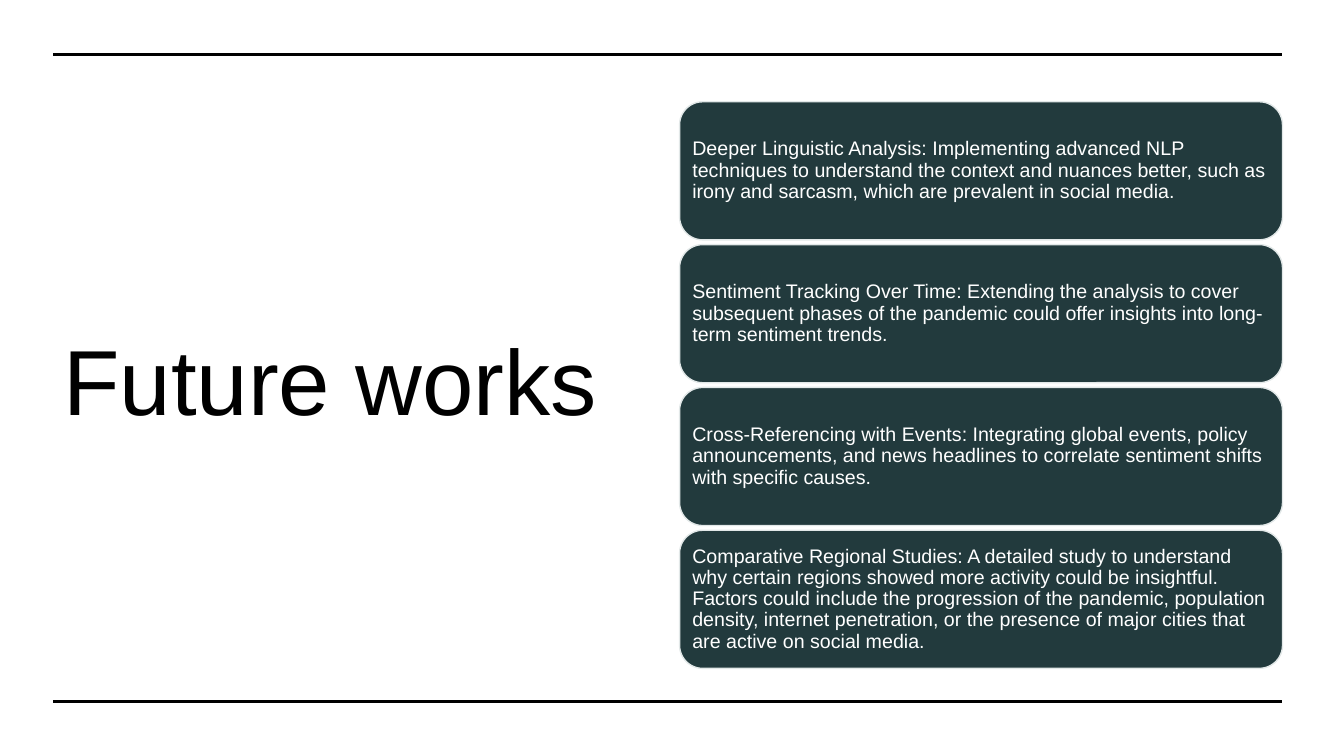
import pptx
import pptx.util
import pptx.dml.color
import pptx.enum.shapes
import pptx.enum.text
import pptx.oxml.ns
import lxml.etree

Inches = pptx.util.Inches
Pt = pptx.util.Pt

TITLE = "Future works"
PLANS = [
    "Deeper Linguistic Analysis: Implementing advanced NLP techniques to understand the context and nuances better, such as irony and sarcasm, which are prevalent in social media.",
    "Sentiment Tracking Over Time: Extending the analysis to cover subsequent phases of the pandemic could offer insights into long-term sentiment trends.",
    "Cross-Referencing with Events: Integrating global events, policy announcements, and news headlines to correlate sentiment shifts with specific causes.",
    "Comparative Regional Studies: A detailed study to understand why certain regions showed more activity could be insightful. Factors could include the progression of the pandemic, population density, internet penetration, or the presence of major cities that are active on social media.",
]
COLORS = {"ink": "000000", "card": "223A3D", "edge": "E2E8E8", "text": "FFFFFF"}

LEFT, RIGHT = 0.53, 12.72
RULES = (0.54, 6.96)
CARD_X, CARD_Y = 6.74, 1.01
CARD_H, STEP = 1.37, 1.417


def color(name):
    return pptx.dml.color.RGBColor.from_string(COLORS[name])


def write(shape, text, size, ink, inset):
    """Fill a shape with one left-aligned, vertically centred paragraph."""
    frame = shape.text_frame
    frame.word_wrap = True
    frame.vertical_anchor = pptx.enum.text.MSO_ANCHOR.MIDDLE
    frame.margin_left = frame.margin_right = Inches(inset[0])
    frame.margin_top = frame.margin_bottom = Inches(inset[1])
    para = frame.paragraphs[0]
    para.text = text
    para.alignment = pptx.enum.text.PP_ALIGN.LEFT
    para.line_spacing = 0.9
    para.font.name = "Arial"
    para.font.size = Pt(size)
    para.font.color.rgb = color(ink)


def add_rule(slide, y):
    rule = slide.shapes.add_connector(
        pptx.enum.shapes.MSO_CONNECTOR.STRAIGHT,
        Inches(LEFT), Inches(y), Inches(RIGHT), Inches(y))
    rule.line.color.rgb = color("ink")
    rule.line.width = Pt(2.25)
    props = rule.element.find(pptx.oxml.ns.qn("p:spPr"))
    lxml.etree.SubElement(props, pptx.oxml.ns.qn("a:effectLst"))


def add_card(slide, y, text):
    card = slide.shapes.add_shape(
        pptx.enum.shapes.MSO_SHAPE.ROUNDED_RECTANGLE,
        Inches(CARD_X), Inches(y), Inches(RIGHT - CARD_X), Inches(CARD_H))
    card.shadow.inherit = False
    card.fill.solid()
    card.fill.fore_color.rgb = color("card")
    card.line.color.rgb = color("edge")
    card.line.width = Pt(1)
    write(card, text, 14, "text", (0.06, 0.06))


def main():
    deck = pptx.Presentation()
    deck.slide_width, deck.slide_height = Inches(13.33), Inches(7.5)
    slide = deck.slides.add_slide(deck.slide_layouts[6])

    title = slide.shapes.add_textbox(
        Inches(LEFT), Inches(0.95), Inches(6.14), Inches(5.75))
    write(title, TITLE, 66, "ink", (0.1, 0.05))
    for y in RULES:
        add_rule(slide, y)
    for row, plan in enumerate(PLANS):
        add_card(slide, CARD_Y + row * STEP, plan)

    deck.save("out.pptx")


if __name__ == "__main__":
    main()
